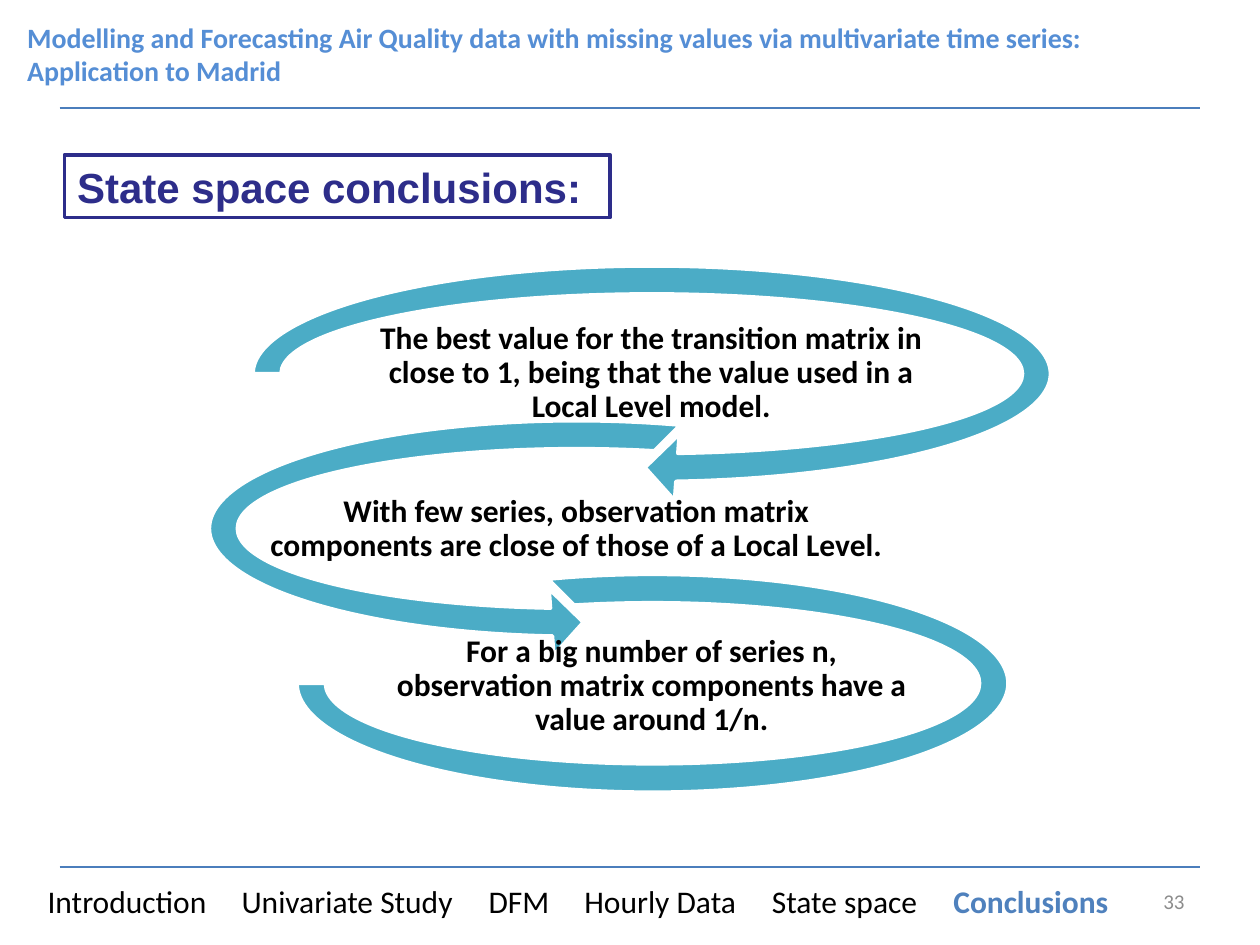
from lxml.etree import SubElement
from pptx import Presentation
from pptx.dml.color import RGBColor
from pptx.enum.shapes import MSO_CONNECTOR, MSO_SHAPE
from pptx.enum.text import MSO_ANCHOR, MSO_AUTO_SIZE, PP_ALIGN
from pptx.oxml.ns import qn
from pptx.util import Cm, Pt

BLACK = RGBColor(0x00, 0x00, 0x00)
WHITE = RGBColor(0xFF, 0xFF, 0xFF)
GREY = RGBColor(0x8C, 0x8C, 0x8C)
HEADER_BLUE = RGBColor(0x55, 0x8E, 0xD5)
RULE_BLUE = RGBColor(0x4B, 0x7E, 0xBC)
ACTIVE_BLUE = RGBColor(0x4F, 0x81, 0xBD)
NAVY = RGBColor(0x2D, 0x2D, 0x8A)
TEAL = RGBColor(0x4B, 0xAC, 0xC6)

HEADER = ("Modelling and Forecasting Air Quality data with missing values "
          "via multivariate time series: Application to Madrid")
SECTIONS = ["Introduction", "Univariate Study", "DFM", "Hourly Data",
            "State space", "Conclusions"]
SECTION_TABS = [3.91, 8.89, 10.82, 14.6, 18.26]

# Each step: shape, shape box, adjustments, text box, text (boxes in cm)
STEPS = [
    (MSO_SHAPE.CIRCULAR_ARROW, (4.72, 4.98, 16.84, 5.11),
     (0.11, 11.42, 45, 108, 0.13), (7.49, 6.07, 11.28, 2.92),
     "The best value for the transition matrix in close to 1, "
     "being that the value used in a Local Level model."),
    (MSO_SHAPE.LEFT_CIRCULAR_ARROW, (3.84, 8.1, 15.57, 5.11),
     (0.11, 11.42, 63, 189, 0.13), (5.41, 9.19, 12.42, 2.97),
     "With few series, observation matrix components are close "
     "of those of a Local Level."),
    (MSO_SHAPE.BLOCK_ARC, (5.99, 11.58, 14.33, 4.39),
     (135, 108, 0.13), (7.82, 12.32, 10.64, 3.02),
     "For a big number of series n, observation matrix components "
     "have a value around 1/n."),
]


def set_attributes(target, **values):
    for name, value in values.items():
        setattr(target, name, value)


def add_run(paragraph, text, color, size, bold=False, name="Calibri"):
    run = paragraph.add_run()
    run.text = text
    set_attributes(run.font, size=Pt(size), bold=bold, name=name)
    run.font.color.rgb = color


def add_text_box(slide, box, **frame_format):
    frame = slide.shapes.add_textbox(*map(Cm, box)).text_frame
    set_attributes(frame, word_wrap=True, **frame_format)
    return frame.paragraphs[0]


def add_rule(slide, y):
    rule = slide.shapes.add_connector(
        MSO_CONNECTOR.STRAIGHT, Cm(1.2), Cm(y), Cm(24.2), Cm(y))
    rule.line.color.rgb = RULE_BLUE
    rule.line.width = Pt(0.75)
    SubElement(rule._element.spPr, qn("a:effectLst"))


def paint(shape, fill, line):
    shape.fill.solid()
    shape.fill.fore_color.rgb = fill
    shape.line.color.rgb = line
    shape.line.width = Pt(2)
    shape.shadow.inherit = False


def fill_title(title):
    box = dict(zip(("left", "top", "width", "height"),
                   map(Cm, (1.3, 3.12, 11, 1.27))))
    set_attributes(title, **box)
    paint(title, WHITE, NAVY)
    set_attributes(title.text_frame, word_wrap=True,
                   auto_size=MSO_AUTO_SIZE.NONE,
                   vertical_anchor=MSO_ANCHOR.TOP)
    paragraph = title.text_frame.paragraphs[0]
    paragraph.alignment = PP_ALIGN.LEFT
    add_run(paragraph, "State space conclusions:", NAVY, 24, True, "Arial")


def add_step(slide, kind, shape_box, adjustments, text_box, text):
    shape = slide.shapes.add_shape(kind, *map(Cm, shape_box))
    for index, value in enumerate(adjustments):
        shape.adjustments[index] = value
    paint(shape, TEAL, WHITE)
    margins = {f"margin_{side}": Cm(0.03)
               for side in ("left", "top", "right", "bottom")}
    paragraph = add_text_box(slide, text_box,
                             vertical_anchor=MSO_ANCHOR.MIDDLE, **margins)
    set_attributes(paragraph, alignment=PP_ALIGN.CENTER, line_spacing=0.9)
    add_run(paragraph, text, BLACK, 18, True)


def add_navigation(slide):
    paragraph = add_text_box(slide, (0.71, 17.65, 22.61, 1.02))
    tabs = SubElement(paragraph._p.get_or_add_pPr(), qn("a:tabLst"))
    for position in SECTION_TABS:
        SubElement(tabs, qn("a:tab"), pos=str(Cm(position)), algn="l")
    *others, active = SECTIONS
    add_run(paragraph, "\t".join(others) + "\t", BLACK, 18)
    add_run(paragraph, active, ACTIVE_BLUE, 18, True)


def main():
    presentation = Presentation()
    presentation.slide_width = Cm(25.4)
    presentation.slide_height = Cm(19.05)
    slide = presentation.slides.add_slide(presentation.slide_layouts[5])

    # Running header and rules
    header = add_text_box(slide, (0.3, 0.28, 23.11, 1.63))
    add_run(header, HEADER, HEADER_BLUE, 16, True)
    for y in (17.48, 2.18):
        add_rule(slide, y)

    # Slide number
    number = add_text_box(slide, (18.21, 17.65, 5.92, 1.02),
                          vertical_anchor=MSO_ANCHOR.MIDDLE)
    number.alignment = PP_ALIGN.RIGHT
    add_run(number, "33", GREY, 12)

    # Title and winding process
    fill_title(slide.shapes.title)
    for step in STEPS:
        add_step(slide, *step)

    # Section navigation
    add_navigation(slide)
    presentation.save("out.pptx")


if __name__ == "__main__":
    main()
